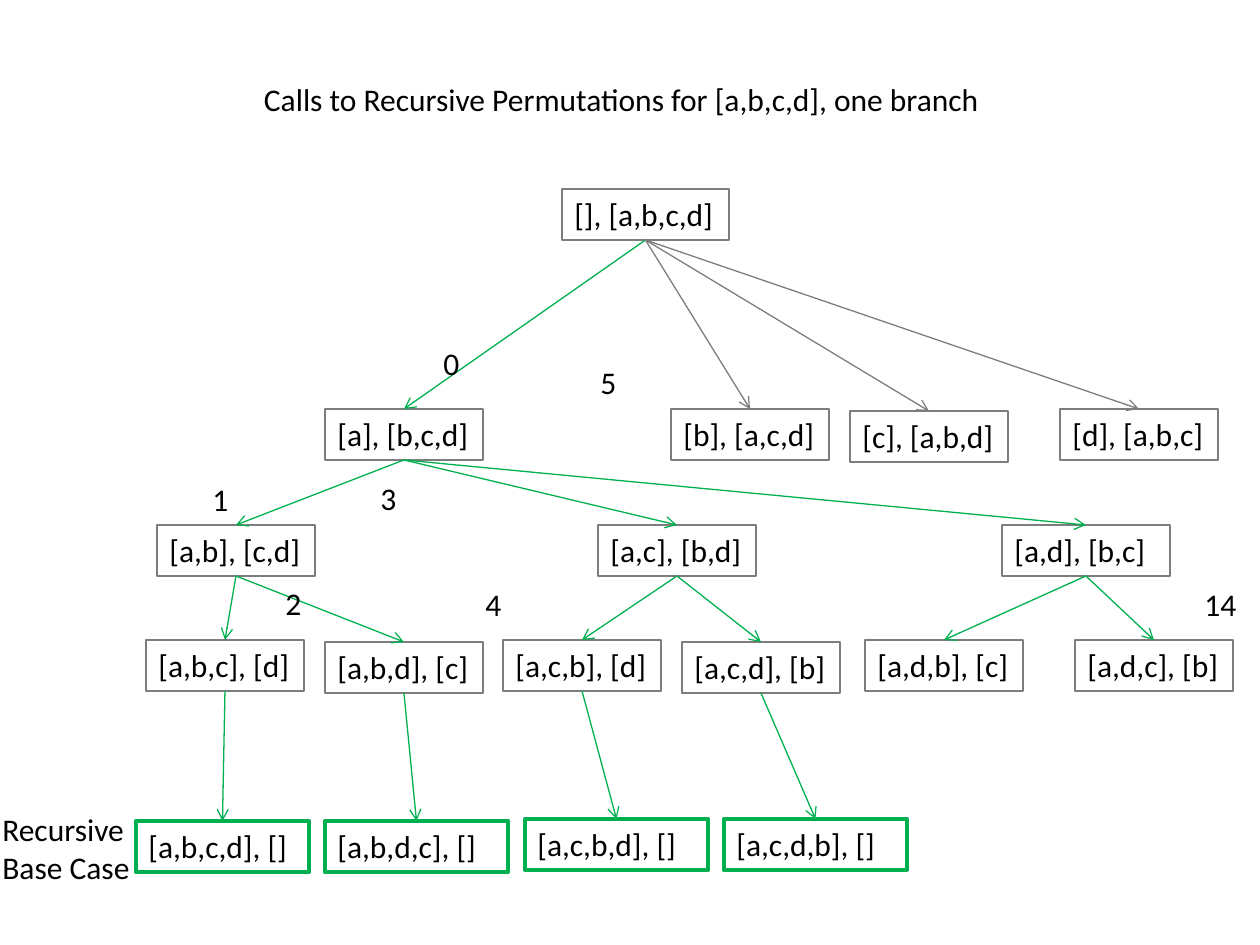
from lxml import etree
from pptx import Presentation
from pptx.dml.color import RGBColor
from pptx.enum import shapes, text
from pptx.oxml.ns import qn
from pptx.util import Emu, Pt

PX = 914400 // 126
GREEN, GREY, BLACK = "00B050", "7D7D7D", "000000"
BOX_H = 51

# name: (label, left, top, width, parent)
CALLS = {
    "": ("[], [a,b,c,d]", 562, 189, 167, None),
    "a": ("[a], [b,c,d]", 325, 409, 158, ""),
    "b": ("[b], [a,c,d]", 671, 409, 158, ""),
    "c": ("[c], [a,b,d]", 850, 411, 158, ""),
    "d": ("[d], [a,b,c]", 1060, 409, 158, ""),
    "ab": ("[a,b], [c,d]", 157, 525, 158, "a"),
    "ac": ("[a,c], [b,d]", 598, 525, 158, "a"),
    "ad": ("[a,d], [b,c]", 1002, 525, 168, "a"),
    "abc": ("[a,b,c], [d]", 146, 640, 158, "ab"),
    "abd": ("[a,b,d], [c]", 325, 642, 158, "ab"),
    "acb": ("[a,c,b], [d]", 503, 640, 158, "ac"),
    "acd": ("[a,c,d], [b]", 682, 642, 158, "ac"),
    "adb": ("[a,d,b], [c]", 865, 640, 158, "ad"),
    "adc": ("[a,d,c], [b]", 1075, 640, 158, "ad"),
    "abcd": ("[a,b,c,d], []", 136, 821, 173, "abc"),
    "abdc": ("[a,b,d,c], []", 325, 821, 183, "abd"),
    "acbd": ("[a,c,b,d], []", 525, 819, 183, "acb"),
    "acdb": ("[a,c,d,b], []", 724, 819, 183, "acd"),
}

LABELS = [
    (["0"], 431, 338, 42, 51),
    (["1"], 200, 474, 42, 51),
    (["3"], 368, 473, 42, 51),
    (["2"], 273, 578, 42, 51),
    (["4"], 473, 579, 42, 51),
    (["5"], 588, 357, 42, 51),
    (["14"], 1192, 579, 58, 51),
    (["Recursive", "Base Case"], -10, 804, 154, 89),
]


def px(*lengths):
    """Turn pixel lengths into EMU."""
    return [Emu(n * PX) for n in lengths]


def rgb(value):
    """Return the colour for a hex string."""
    return RGBColor.from_string(value)


def apply(obj, **values):
    """Set attributes from format values."""
    for name, value in values.items():
        setattr(obj, name, value)


def write(sp, lines, align=text.PP_ALIGN.LEFT, **frame):
    """Put formatted paragraphs into a shape."""
    tf = sp.text_frame
    apply(tf, word_wrap=True, auto_size=text.MSO_AUTO_SIZE.NONE,
          vertical_anchor=text.MSO_ANCHOR.TOP, margin_right=0, **frame)
    for i, line in enumerate(lines):
        p = tf.add_paragraph() if i else tf.paragraphs[0]
        p.alignment = align
        r = p.add_run()
        r.text = line
        apply(r.font, name="Calibri", size=Pt(18))
        r.font.color.rgb = rgb(BLACK)


def add_title(s, title):
    """Fill the title placeholder."""
    sp = s.shapes.title
    left, top, width, height = px(252, 74, 739, 51)
    apply(sp, left=left, top=top, width=width, height=height)
    write(sp, [title], text.PP_ALIGN.CENTER, margin_left=0)


def add_label(s, lines, *box):
    """Add free text."""
    write(s.shapes.add_textbox(*px(*box)), lines)


def add_call(s, name, label, left, top, width):
    """Add the box of one call, outlined green at the base case."""
    sp = s.shapes.add_shape(shapes.MSO_SHAPE.RECTANGLE, *px(left, top, width, BOX_H))
    sp.shadow.inherit = False
    sp.fill.background()
    base = len(name) == 4
    sp.line.color.rgb = rgb(GREEN if base else GREY)
    sp.line.width = Pt(2.5 if base else 0.75)
    write(sp, [label])
    return sp


def add_arrow(s, start, end, color):
    """Join the bottom of one box to the top of another."""
    c = s.shapes.add_connector(shapes.MSO_CONNECTOR.STRAIGHT, 0, 0, 0, 0)
    c.begin_connect(start, 2)
    c.end_connect(end, 0)
    c.line.color.rgb = rgb(color)
    c.line.width = Pt(0.75)
    etree.SubElement(c.line._get_or_add_ln(), qn("a:tailEnd"), type="arrow")
    etree.SubElement(c._element.spPr, qn("a:effectLst"))


def main():
    """Build the call tree slide."""
    prs = Presentation()
    prs.slide_width, prs.slide_height = px(1260, 945)
    s = prs.slides.add_slide(prs.slide_layouts[5])
    add_title(s, "Calls to Recursive Permutations for [a,b,c,d], one branch")
    boxes = {}
    for name, (label, left, top, width, parent) in CALLS.items():
        boxes[name] = add_call(s, name, label, left, top, width)
        if parent is not None:
            color = GREEN if name.startswith("a") else GREY
            add_arrow(s, boxes[parent], boxes[name], color)
    for label in LABELS:
        add_label(s, *label)
    prs.save("out.pptx")


main()
